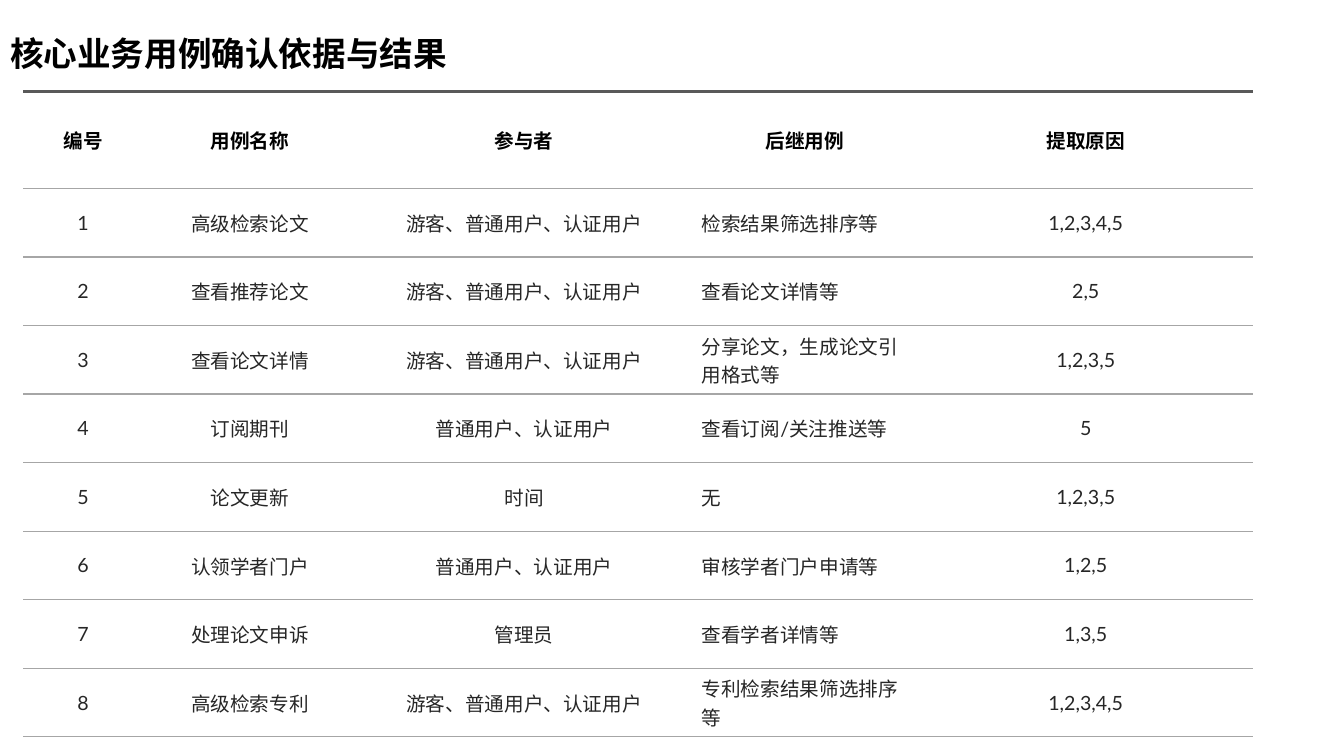
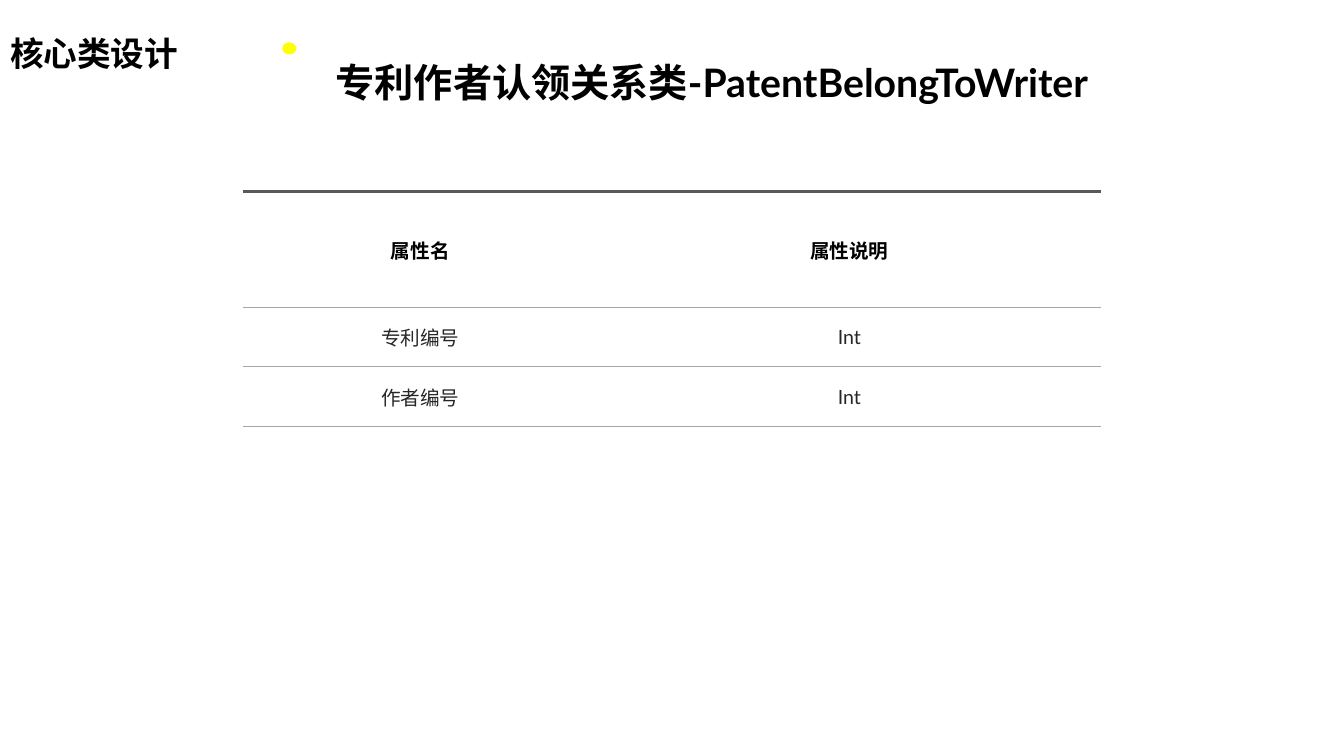
from pptx import Presentation
from pptx import util as u
from pptx.dml.color import RGBColor
from pptx.enum import lang, shapes, text
from pptx.oxml import parse_xml
from pptx.oxml.ns import nsdecls

INK = {"head": "000000", "body": "262626", "top": "595959",
       "rule": "A6A6A6", "dot": "FFFF00", "page": "FFFFFF"}
FONT = "Lato"
MID, LEFT = text.PP_ALIGN.CENTER, text.PP_ALIGN.LEFT


def write(frame, words, size=14, ink="head", bold=True, align=MID):
    frame.word_wrap = True
    para = frame.paragraphs[0]
    para.alignment = align
    run = para.add_run()
    run.text = words
    font = run.font
    font.name, font.size, font.bold = FONT, u.Pt(size), bold
    font.color.rgb = RGBColor.from_string(INK[ink])
    font.language_id = lang.MSO_LANGUAGE_ID.SIMPLIFIED_CHINESE


def rule(cell, top):
    """Draw the lines above and below a cell, and none at its sides."""
    sides = {"lnL": None, "lnR": None, "lnT": top, "lnB": ("rule", 1)}
    for spot, (side, line) in enumerate(sides.items()):
        fill, wide = "<a:noFill/>", 0
        if line:
            fill = f'<a:solidFill><a:srgbClr val="{INK[line[0]]}"/></a:solidFill>'
            wide = u.Pt(line[1])
        cell._tc.get_or_add_tcPr().insert(spot, parse_xml(
            f'<a:{side} {nsdecls("a")} w="{wide}">{fill}</a:{side}>'))


ALL, KNOWN = "游客、普通用户、认证用户", "普通用户、认证用户"
CASES = [
    ("编号", "用例名称", "参与者", "后继用例", "提取原因"),
    ("1", "高级检索论文", ALL, "检索结果筛选排序等", "1,2,3,4,5"),
    ("2", "查看推荐论文", ALL, "查看论文详情等", "2,5"),
    ("3", "查看论文详情", ALL, "分享论文，生成论文引用格式等", "1,2,3,5"),
    ("4", "订阅期刊", KNOWN, "查看订阅/关注推送等", "5"),
    ("5", "论文更新", "时间", "无", "1,2,3,5"),
    ("6", "认领学者门户", KNOWN, "审核学者门户申请等", "1,2,5"),
    ("7", "处理论文申诉", "管理员", "查看学者详情等", "1,3,5"),
    ("8", "高级检索专利", ALL, "专利检索结果筛选排序等", "1,2,3,4,5"),
]
FIELDS = [("属性名", "属性说明"), ("专利编号", "Int"), ("作者编号", "Int")]

# Each page: title, title width, table corner, columns, head and row heights,
# left-aligned column, rows
PAGES = [
    ("核心业务用例确认依据与结果", 4.6, (0.23, 0.91),
     (1.19, 2.12, 3.32, 2.25, 3.32), 0.96, 0.68, 3, CASES),
    ("核心类设计", 2, (2.41, 1.9), (3.52, 4.99), 1.15, 0.59, None, FIELDS),
]

deck = Presentation()
deck.slide_width, deck.slide_height = u.Inches(13.33), u.Inches(7.5)
look = deck.slide_layouts.get_by_name("Title Only")
back = deck.slide_master.background.fill
back.solid()
back.fore_color.rgb = RGBColor.from_string(INK["page"])

for name, span, (left, top), cols, first, step, flush, rows in PAGES:
    slide = deck.slides.add_slide(look)
    title = slide.shapes.title
    title.left, title.top = 0, u.Inches(0.28)
    title.width, title.height = u.Inches(span), u.Inches(0.5)
    title.text_frame.auto_size = text.MSO_AUTO_SIZE.NONE
    title.text_frame.vertical_anchor = text.MSO_ANCHOR.MIDDLE
    write(title.text_frame, name, size=24, align=LEFT)

    high = first + step * (len(rows) - 1)
    grid = slide.shapes.add_table(
        len(rows), len(cols), u.Inches(left), u.Inches(top),
        u.Inches(sum(cols)), u.Inches(high)).table
    grid.horz_banding = grid.first_row = False
    for col, wide in zip(grid.columns, cols):
        col.width = u.Inches(wide)
    for r, row in enumerate(rows):
        head = r == 0
        grid.rows[r].height = u.Inches(first if head else step)
        for c, words in enumerate(row):
            cell = grid.cell(r, c)
            cell.vertical_anchor = text.MSO_ANCHOR.MIDDLE
            cell.fill.background()
            rule(cell, ("top", 2.25) if head else ("rule", 1))
            write(cell.text_frame, words, ink="head" if head else "body",
                  bold=head, align=LEFT if c == flush and not head else MID)

# The class page also carries a dot and the name of the class
dot = slide.shapes.add_shape(
    shapes.MSO_SHAPE.OVAL, u.Inches(2.8), u.Inches(0.42),
    u.Inches(0.14), u.Inches(0.12))
dot.shadow.inherit = False
dot.fill.solid()
dot.fill.fore_color.rgb = RGBColor.from_string(INK["dot"])
dot.line.fill.background()
label = slide.shapes.add_textbox(
    u.Inches(3.06), u.Inches(0.53), u.Inches(8), u.Inches(0.57))
write(label.text_frame, "专利作者认领关系类-PatentBelongToWriter", size=28)

deck.save("out.pptx")
